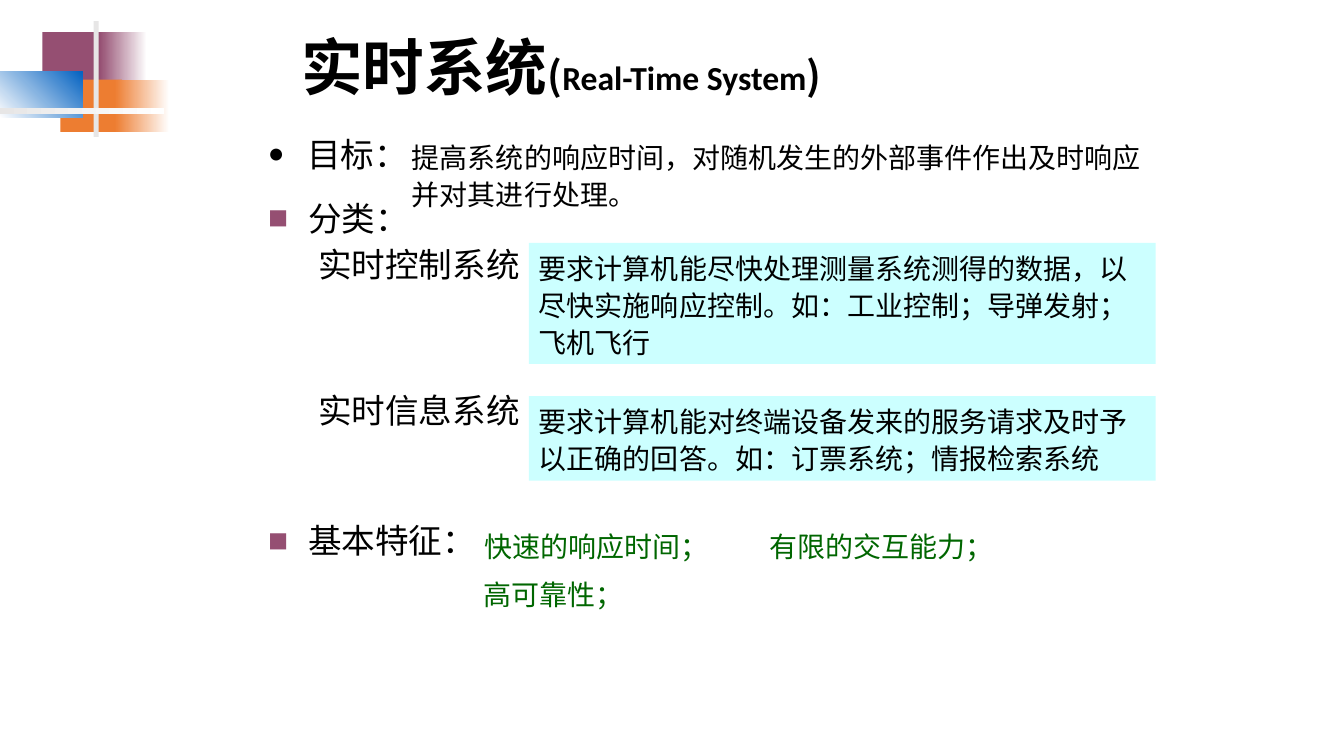
from pptx import Presentation
from pptx.dml.color import RGBColor
from pptx.enum.shapes import MSO_SHAPE
from pptx.enum.text import MSO_ANCHOR, MSO_AUTO_SIZE
from pptx.oxml.ns import qn
from pptx.util import Inches, Pt
from lxml import etree

RECTANGLE = MSO_SHAPE.RECTANGLE
MIDDLE = MSO_ANCHOR.MIDDLE
GROW = MSO_AUTO_SIZE.SHAPE_TO_FIT_TEXT

THEME = {
    "black": "000000", "white": "FFFFFF", "plum": "954F72", "orange": "ED7D31",
    "blue": "0563C1", "grey": "E7E6E6", "green": "006600", "aqua": "CCFFFF",
    "title": 44, "bracket": 28, "label": 24, "detail": 20,
    "heading font": "Calibri", "body font": "Lato", "bracket font": "Noto Sans CJK SC",
}

deck = Presentation()
deck.slide_width, deck.slide_height = Inches(13.34), Inches(7.5)
page = deck.slides.add_slide(deck.slide_layouts[6])


def place(left, top, width, height, fill=None):
    """Add a text box, or a filled rectangle, measured in percent of the slide."""
    across, down = deck.slide_width / 100, deck.slide_height / 100
    area = [round(v) for v in (left * across, top * down, width * across, height * down)]
    if fill is None:
        return page.shapes.add_textbox(*area)
    box = page.shapes.add_shape(RECTANGLE, *area)
    box.shadow.inherit = False
    box.line.fill.background()
    if isinstance(fill, str):
        box.fill.solid()
        box.fill.fore_color.rgb = RGBColor.from_string(THEME[fill])
    else:
        start, end, angle = fill
        box.fill.gradient()
        box.fill.gradient_angle = angle
        for stop, name in zip(box.fill.gradient_stops, (start, end)):
            stop.color.rgb = RGBColor.from_string(THEME[name])
    return box


def write(box, parts, spacing, before=0, color="black", wrap=True, bold=False):
    """Fill a box with one paragraph of (text, size, font) parts."""
    frame = box.text_frame
    frame.word_wrap = wrap
    para = frame.paragraphs[0]
    para.line_spacing, para.space_before = spacing, Pt(before)
    para.alignment = 1  # left
    for text, size, font in parts:
        span = para.add_run()
        span.text = text
        span.font.size, span.font.name, span.font.bold = Pt(THEME[size]), THEME[font], bold
        span.font.color.rgb = RGBColor.from_string(THEME[color])
        etree.SubElement(span.font._element, qn("a:ea"), typeface=THEME[font])
    return para


# Corner ornament
for area, fill in [
    ((3.15, 4.27, 4.8, 6.93), "plum"),
    ((7.42, 4.27, 3.52, 6.93), ("plum", "white", 0)),
    ((4.5, 10.53, 4.57, 6.93), "orange"),
    ((8.55, 10.53, 4.05, 6.93), ("orange", "white", 0)),
    ((0, 9.47, 6.15, 6.13), ("white", "blue", 45)),
    ((6.97, 2.8, 0.37, 15.33), "grey"),
    ((0, 14.27, 12.22, 0.8), ("grey", "white", 0)),
]:
    place(*area, fill)

# Title
title = place(21.66, 2.8, 63.87, 12.93)
title.text_frame.vertical_anchor = MIDDLE
write(title, [("实时系统", "title", "heading font"), ("(", "bracket", "bracket font"),
              ("Real-Time System", "label", "heading font"),
              (")", "bracket", "bracket font")], 0.9, bold=True)

# Bulleted headings
for text, area, font, spacing, before, mark, color, scale in [
    ("目标：", (19.19, 18.53, 12.97, 5.2), "heading font", 0.7, 10, "•", "black", 100),
    ("分类：", (19.27, 26.53, 12.97, 6.27), "body font", 0.8, 6, "■", "plum", 60),
    ("基本特征：", (19.27, 69.2, 17.69, 6.27), "body font", 0.8, 6, "■", "plum", 60),
]:
    para = write(place(*area), [(text, "label", font)], spacing, before)
    props = para._p.get_or_add_pPr()
    props.set("marL", str(Inches(0.39)))
    props.set("indent", str(-Inches(0.39)))
    bullet_color = etree.SubElement(props, qn("a:buClr"))
    etree.SubElement(bullet_color, qn("a:srgbClr"), val=THEME[color])
    etree.SubElement(props, qn("a:buSzPct"), val=str(scale * 1000))
    etree.SubElement(props, qn("a:buFont"), typeface="Noto Sans CJK SC" if scale < 100 else "Calibri")
    etree.SubElement(props, qn("a:buChar"), char=mark)

# Goal
goal = place(29.91, 17.47, 56.22, 11.2)
write(goal, [("提高系统的响应时间，对随机发生的外部事件作出及时响应并对其进行处理。",
              "detail", "body font")], 1.1)
goal.text_frame.auto_size = GROW

# Kinds of system with their descriptions
for name, name_top, text, top, height in [
    ("实时控制系统", 32.67,
     "要求计算机能尽快处理测量系统测得的数据，以尽快实施响应控制。如：工业控制；导弹发射；飞机飞行",
     32.13, 16),
    ("实时信息系统", 52,
     "要求计算机能对终端设备发来的服务请求及时予以正确的回答。如：订票系统；情报检索系统",
     52.4, 11.2),
]:
    label = place(22.94, name_top, 16.49, 5.6)
    write(label, [(name, "label", "body font")], 0.8, 6, wrap=False)
    panel = place(39.36, top, 46.63, height, "aqua")
    panel.text_frame.vertical_anchor = MSO_ANCHOR.TOP
    write(panel, [(text, "detail", "body font")], 1.1, 5)
    label.text_frame.auto_size = panel.text_frame.auto_size = GROW

# Basic features
for text, left, top, width in [
    ("快速的响应时间；", 35.31, 70.27, 18.14),
    ("有限的交互能力；", 56.52, 70.27, 18.14),
    ("高可靠性；", 35.23, 76.53, 11.92),
]:
    feature = place(left, top, width, 4.93)
    write(feature, [(text, "detail", "body font")], 0.8, 5, "green", wrap=False)
    feature.text_frame.auto_size = GROW

deck.save("out.pptx")
